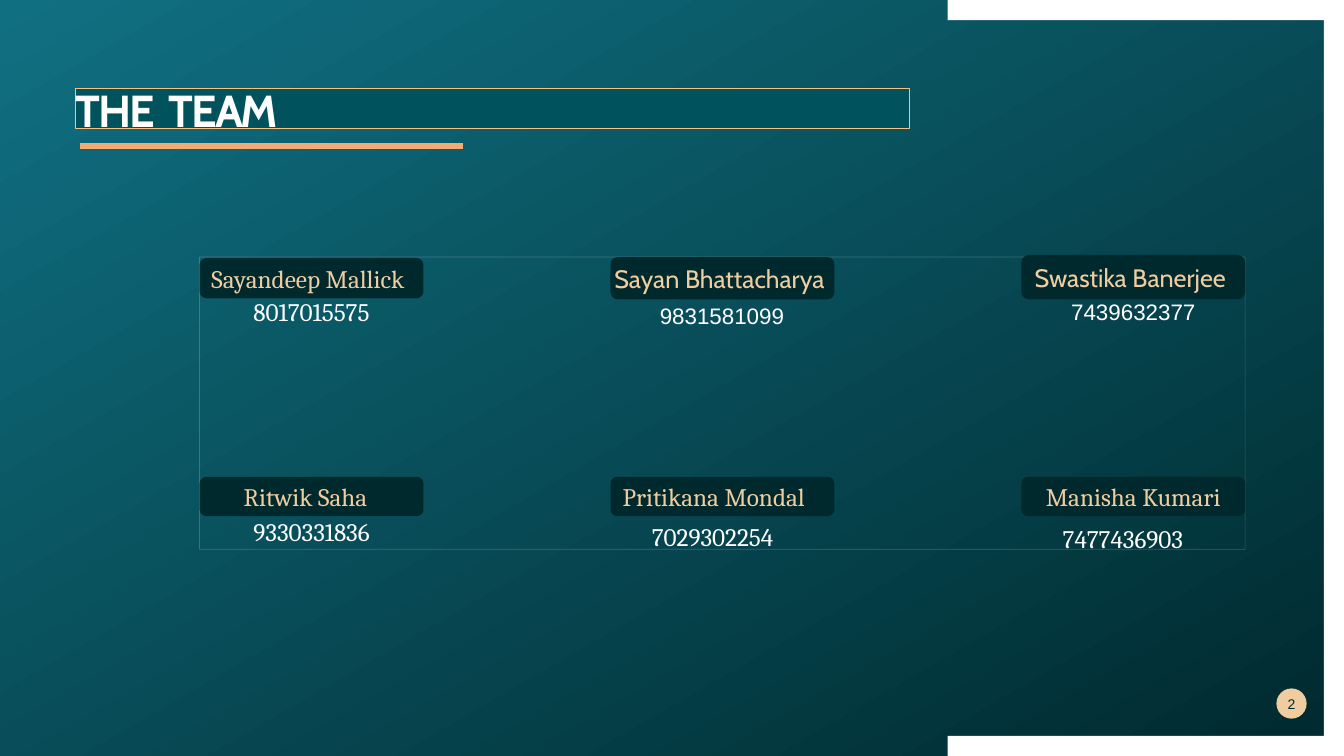
from pptx import Presentation
from pptx.dml.color import RGBColor
from pptx.enum.shapes import MSO_CONNECTOR, MSO_SHAPE
from pptx.enum.text import MSO_ANCHOR, PP_ALIGN
from pptx.oxml.ns import qn
from pptx.util import Inches, Pt
from lxml import etree

WHITE = RGBColor(0xFF, 0xFF, 0xFF)
DARK = RGBColor(0x00, 0x29, 0x2E)
TEAL = RGBColor(0x10, 0x70, 0x82)
TITLE_TEAL = RGBColor(0x00, 0x52, 0x5C)
SAND = RGBColor(0xF0, 0xCD, 0xA1)
GOLD = RGBColor(0xFB, 0xC2, 0x7D)
ORANGE = RGBColor(0xF4, 0xAA, 0x73)

SLIDE_WIDTH, SLIDE_HEIGHT = 13.33, 7.5
COLUMN_STEP = 4.075
CARD_WIDTH = 2.22

# name, font, right inset, top, height; number, font, size, left, top, width, height
MEMBERS = [
    [("Sayandeep Mallick", "Cambria", 0.07, 0.01, 0.4),
     ("8017015575", "Cambria", 18, 0, 0.34, 2.22, 0.39)],
    [("Sayan Bhattacharya", "Cabin", 0.06, 0, 0.42),
     ("9831581099", "Arial", 16, 0.06, 0.41, 2.09, 0.34)],
    [("Swastika Banerjee", "Cabin", 0.06, -0.02, 0.44),
     ("7439632377", "Arial", 16, 0, 0.41, 2.22, 0.27)],
    [("Ritwik Saha", "Cambria", 0.12, 2.18, 0.39),
     ("9330331836", "Cambria", 18, 0, 2.59, 2.22, 0.27)],
    [("Pritikana Mondal", "Cambria", 0.17, 2.18, 0.39),
     ("7029302254", "Cambria", 18, 0.41, 2.62, 1.4, 0.3)],
    [("Manisha Kumari", "Cambria", 0, 2.18, 0.39),
     ("7477436903", "Cambria", 18, 0.41, 2.64, 1.4, 0.3)],
]


def add_box(slide, kind, left, top, width, height, fill=None, line=None, weight=0.75):
    shape = slide.shapes.add_shape(kind, Inches(left), Inches(top), Inches(width), Inches(height))
    shape.shadow.inherit = False
    if fill is None:
        shape.fill.background()
    else:
        shape.fill.solid()
        shape.fill.fore_color.rgb = fill
    if line is None:
        shape.line.fill.background()
    else:
        shape.line.color.rgb = line
        shape.line.width = Pt(weight)
    return shape


def write(shape, text, font, size, color, align=PP_ALIGN.CENTER, anchor=MSO_ANCHOR.MIDDLE, right=0):
    frame = shape.text_frame
    frame.word_wrap = True
    frame.vertical_anchor = anchor
    frame.margin_left = frame.margin_top = frame.margin_bottom = 0
    frame.margin_right = Inches(right)
    paragraph = frame.paragraphs[0]
    paragraph.add_run().text = text
    paragraph.alignment = align
    paragraph.font.name = font
    paragraph.font.size = Pt(size)
    paragraph.font.color.rgb = color
    return paragraph


def draw_background(slide, width, height):
    backdrop = add_box(slide, MSO_SHAPE.RECTANGLE, 0, 0, width, height)
    backdrop.fill.gradient()
    backdrop.fill.gradient_angle = 120
    for stop, color in zip(backdrop.fill.gradient_stops, (DARK, TEAL)):
        stop.color.rgb = color

    start, band = 9.4, 0.2
    inner_right, inner_bottom = width - band, height - band
    outline = [(width, 0), (width, height), (start, height), (start, inner_bottom),
               (inner_right, inner_bottom), (inner_right, band), (start, band)]
    builder = slide.shapes.build_freeform(Inches(start), 0)
    builder.add_line_segments([(Inches(x), Inches(y)) for x, y in outline], close=True)
    bracket = builder.convert_to_shape()
    bracket.shadow.inherit = False
    bracket.fill.solid()
    bracket.fill.fore_color.rgb = WHITE
    bracket.line.fill.background()


def draw_title(slide, left, top, width, height):
    title = add_box(slide, MSO_SHAPE.RECTANGLE, left, top, width, height, TITLE_TEAL, GOLD)
    paragraph = write(title, "THE  TEAM", "Cabin", 32, WHITE, PP_ALIGN.LEFT, MSO_ANCHOR.TOP)
    paragraph.font.bold = True
    paragraph.line_spacing = 0.9
    paragraph.runs[0]._r.get_or_add_rPr().set("spc", "-150")

    rule_left, rule_top = Inches(left + 0.04), Inches(top + 0.57)
    rule = slide.shapes.add_connector(
        MSO_CONNECTOR.STRAIGHT, rule_left, rule_top, rule_left + Inches(3.8), rule_top)
    rule.line.color.rgb = ORANGE
    rule.line.width = Pt(4.32)
    etree.SubElement(rule._element.spPr, qn("a:effectLst"))


def draw_member(slide, left, top, card, phone):
    number, font, size, phone_left, phone_top, width, height = phone
    box = slide.shapes.add_textbox(
        Inches(left + phone_left), Inches(top + phone_top), Inches(width), Inches(height))
    align = PP_ALIGN.CENTER if width > 2 else PP_ALIGN.LEFT
    write(box, number, font, size, WHITE, align)

    name, font, right, card_top, height = card
    plate = add_box(slide, MSO_SHAPE.ROUNDED_RECTANGLE, left, top + card_top, CARD_WIDTH, height, DARK)
    write(plate, name, font, 18, SAND, right=right)


def draw_team(slide, left, top, width, height):
    frame = add_box(slide, MSO_SHAPE.RECTANGLE, left, top, width, height, line=WHITE, weight=0.5)
    color = frame.line.fill._xPr.find(".//" + qn("a:srgbClr"))
    etree.SubElement(color, qn("a:alpha"), val="20000")
    for index, (card, phone) in enumerate(MEMBERS):
        draw_member(slide, left + index % 3 * COLUMN_STEP, top, card, phone)


def draw_page_number(slide, left, top, size):
    badge = add_box(slide, MSO_SHAPE.OVAL, left, top, size, size, SAND)
    write(badge, "2", "Arial", 10, DARK)


def main():
    presentation = Presentation()
    presentation.slide_width = Inches(SLIDE_WIDTH)
    presentation.slide_height = Inches(SLIDE_HEIGHT)
    slide = presentation.slides.add_slide(presentation.slide_layouts[6])
    draw_background(slide, SLIDE_WIDTH, SLIDE_HEIGHT)
    draw_team(slide, 1.98, 2.55, 10.37, 2.9)
    draw_page_number(slide, 12.66, 6.83, 0.3)
    draw_title(slide, 0.75, 0.88, 8.27, 0.4)
    presentation.save("out.pptx")


if __name__ == "__main__":
    main()
